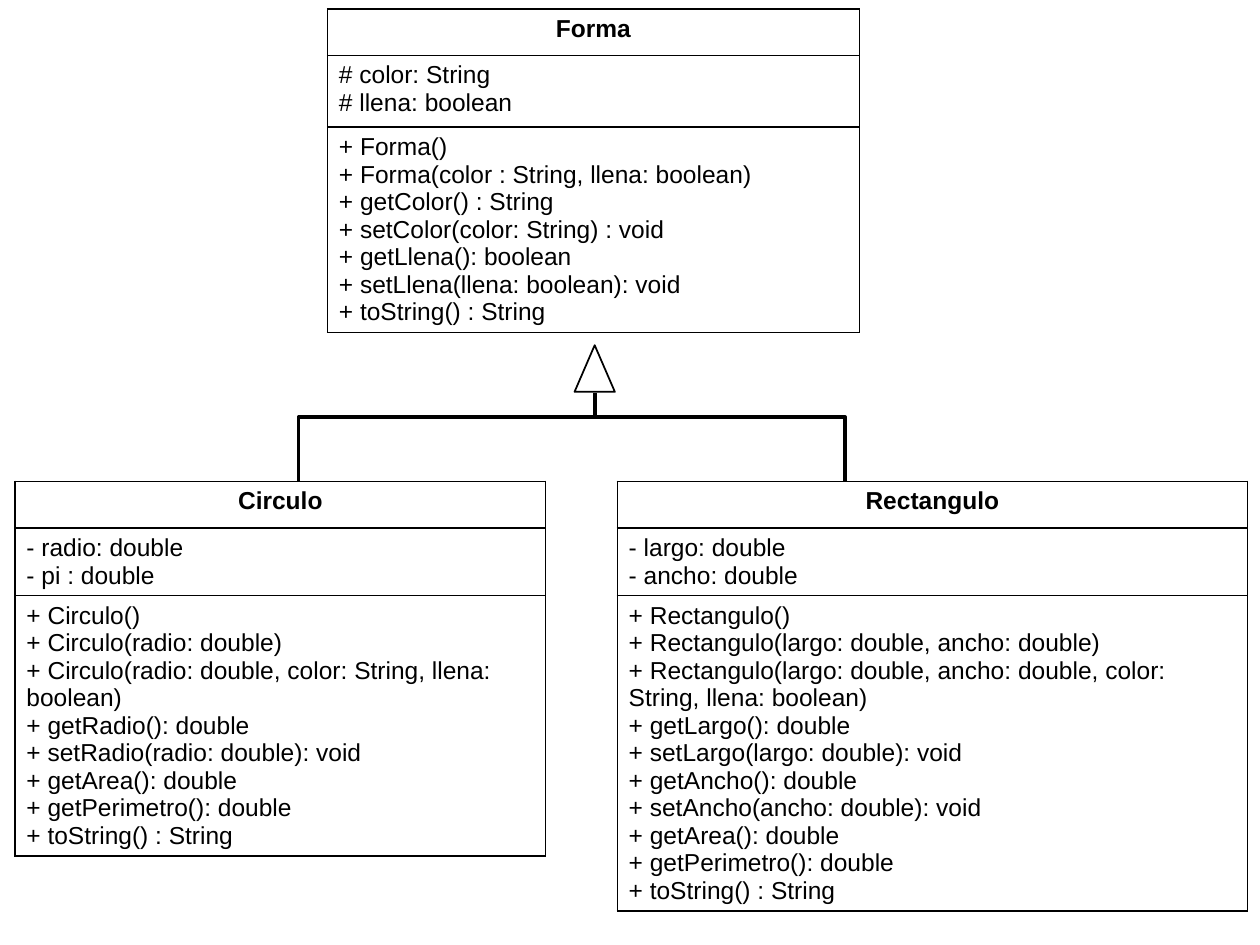
from lxml import etree
from pptx import Presentation
from pptx.dml.color import RGBColor
from pptx.enum.shapes import MSO_CONNECTOR, MSO_SHAPE
from pptx.enum.text import PP_ALIGN
from pptx.oxml.ns import qn
from pptx.util import Inches, Pt

STRAIGHT, ELBOW = MSO_CONNECTOR.STRAIGHT, MSO_CONNECTOR.ELBOW
TRIANGLE = MSO_SHAPE.ISOSCELES_TRIANGLE
CENTER, LEFT = PP_ALIGN.CENTER, PP_ALIGN.LEFT
BLACK, WHITE = "000000", "FFFFFF"

# Each class: left, top, width, row heights, fill, then name, fields, methods
FORMA = (2.6, 0.07, 4.22, (0.37, 0.57, 1.63), None, (
    ["Forma"],
    ["# color: String", "# llena: boolean"],
    ["+ Forma()", "+ Forma(color : String, llena: boolean)",
     "+ getColor() : String", "+ setColor(color: String) : void",
     "+ getLlena(): boolean", "+ setLlena(llena: boolean): void",
     "+ toString() : String"]))
CIRCULO = (0.12, 3.82, 4.21, (0.37, 0.53, 2.06), WHITE, (
    ["Circulo"],
    ["- radio: double", "- pi : double"],
    ["+ Circulo()", "+ Circulo(radio: double)",
     "+ Circulo(radio: double, color: String, llena: boolean)",
     "+ getRadio(): double", "+ setRadio(radio: double): void",
     "+ getArea(): double", "+ getPerimetro(): double",
     "+ toString() : String"]))
RECTANGULO = (4.9, 3.82, 5, (0.37, 0.53, 2.49), WHITE, (
    ["Rectangulo"],
    ["- largo: double", "- ancho: double"],
    ["+ Rectangulo()", "+ Rectangulo(largo: double, ancho: double)",
     "+ Rectangulo(largo: double, ancho: double, color: String, llena: boolean)",
     "+ getLargo(): double", "+ setLargo(largo: double): void",
     "+ getAncho(): double", "+ setAncho(ancho: double): void",
     "+ getArea(): double", "+ getPerimetro(): double",
     "+ toString() : String"]))


def color(value):
    return RGBColor.from_string(value)


def set_borders(cell):
    """Draw a thin black line on all four sides of a cell."""
    properties = cell._tc.get_or_add_tcPr()
    for position, side in enumerate(("lnL", "lnR", "lnT", "lnB")):
        line = etree.Element(qn(f"a:{side}"), w=str(Pt(1)))
        fill = etree.SubElement(line, qn("a:solidFill"))
        etree.SubElement(fill, qn("a:srgbClr"), val=BLACK)
        properties.insert(position, line)


def fill_cell(cell, lines, heading, fill):
    cell.margin_left = cell.margin_right = Inches(0.09)
    cell.margin_top = cell.margin_bottom = Inches(0.05)
    if fill:
        cell.fill.solid()
        cell.fill.fore_color.rgb = color(fill)
    else:
        cell.fill.background()
    set_borders(cell)
    cell.text_frame.text = "\n".join(lines)
    for para in cell.text_frame.paragraphs:
        para.alignment = CENTER if heading else LEFT
        for span in para.runs:
            span.font.name = "Arial"
            span.font.size = Pt(14)
            span.font.bold = heading
            span.font.color.rgb = color(BLACK)


def add_class(page, left, top, width, heights, fill, sections):
    """Add a class as a table of name, fields and methods."""
    table = page.shapes.add_table(
        len(sections), 1, Inches(left), Inches(top),
        Inches(width), Inches(sum(heights))).table
    table.first_row = table.horz_banding = False
    for index, (height, lines) in enumerate(zip(heights, sections)):
        table.rows[index].height = Inches(height)
        fill_cell(table.cell(index, 0), lines, index == 0, fill)


def add_line(group, kind, start, end):
    points = [Inches(value) for value in (*start, *end)]
    line = group.shapes.add_connector(kind, *points)
    line.line.color.rgb = color(BLACK)
    line.line.width = Pt(2.25)
    etree.SubElement(line._element.spPr, qn("a:effectLst"))


def add_arrow(page):
    """Add the hollow inheritance arrowhead with its stem."""
    group = page.shapes.add_group_shape()
    head = group.shapes.add_shape(
        TRIANGLE, Inches(4.56), Inches(2.74), Inches(0.32), Inches(0.37))
    head.shadow.inherit = False
    head.fill.solid()
    head.fill.fore_color.rgb = color(WHITE)
    head.line.color.rgb = color(BLACK)
    head.line.width = Pt(1)
    add_line(group, STRAIGHT, (4.72, 3.12), (4.72, 3.31))


def main():
    deck = Presentation()
    deck.slide_width, deck.slide_height = Inches(10), Inches(7.5)
    page = deck.slides.add_slide(deck.slide_layouts[6])

    # Parent class and inheritance lines
    add_class(page, *FORMA)
    add_arrow(page)
    for end in ((8.79, 3.86), (0.12, 3.86)):
        add_line(page, ELBOW, (4.62, 3.31), end)

    # Child classes cover the ends of the lines
    add_class(page, *CIRCULO)
    add_class(page, *RECTANGULO)
    deck.save("out.pptx")


if __name__ == "__main__":
    main()
